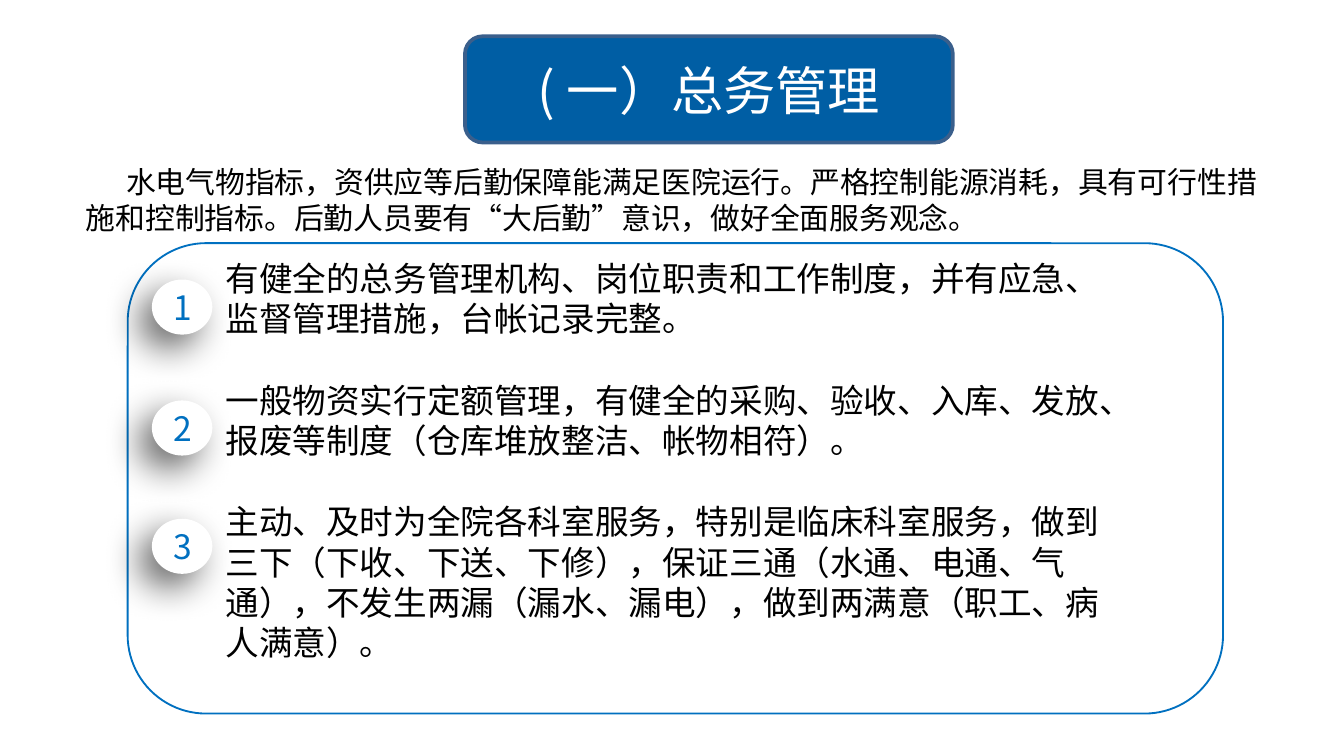
from pptx import Presentation
from pptx.dml.color import RGBColor
from pptx.enum.shapes import MSO_SHAPE
from pptx.enum.text import MSO_ANCHOR, PP_ALIGN
from pptx.oxml import parse_xml
from pptx.oxml.ns import nsdecls, qn
from pptx.util import Inches, Pt

WHITE = RGBColor(0xFF, 0xFF, 0xFF)
BLACK = RGBColor(0, 0, 0)
BLUE = RGBColor(0x00, 0x70, 0xC0)
TITLE_BLUE = RGBColor(0x00, 0x5E, 0xA4)
TITLE_EDGE = RGBColor(0x3A, 0x5F, 0x8C)

SHADOW = (
    f'<a:outerShdw {nsdecls("a")} blurRad="{Pt(20)}" dist="{Pt(10)}" '
    'dir="8100000" algn="tr" rotWithShape="0">'
    '<a:srgbClr val="000000"><a:alpha val="60000"/></a:srgbClr></a:outerShdw>'
)

INTRO = ("水电气物指标，资供应等后勤保障能满足医院运行。严格控制能源消耗，"
         "具有可行性措施和控制指标。后勤人员要有“大后勤”意识，做好全面服务观念。")
DUTIES = [
    "有健全的总务管理机构、岗位职责和工作制度，并有应急、监督管理措施，台帐记录完整。",
    "一般物资实行定额管理，有健全的采购、验收、入库、发放、报废等制度（仓库堆放整洁、帐物相符）。",
    "主动、及时为全院各科室服务，特别是临床科室服务，做到三下（下收、下送、下修），"
    "保证三通（水通、电通、气通），不发生两漏（漏水、漏电），做到两满意（职工、病人满意）。",
]

# 16:9 slide
prs = Presentation()
prs.slide_width = Inches(10)
prs.slide_height = Inches(10 * 9 / 16)
slide = prs.slides.add_slide(prs.slide_layouts[6])


def add_label(shape, text, size, color):
    """Write one centred line in the middle of a shape."""
    frame = shape.text_frame
    frame.text = text
    frame.vertical_anchor = MSO_ANCHOR.MIDDLE
    frame.paragraphs[0].alignment = PP_ALIGN.CENTER
    font = frame.paragraphs[0].runs[0].font
    font.name, font.size, font.color.rgb = "Noto Sans CJK SC", Pt(size), color


def add_body(left, top, width, height, texts, size):
    """Add a wrapping text box with one paragraph per text."""
    box = slide.shapes.add_textbox(*map(Inches, (left, top, width, height)))
    frame = box.text_frame
    frame.word_wrap = True
    frame.text = "\n".join(texts)
    for paragraph in frame.paragraphs:
        font = paragraph.runs[0].font
        font.name, font.size, font.color.rgb = "Calibri", Pt(size), BLACK
    return frame.paragraphs


# Rounded outline around the duties
panel = slide.shapes.add_shape(
    MSO_SHAPE.ROUNDED_RECTANGLE, Inches(0.95), Inches(1.81), Inches(8.15), Inches(3.5))
panel.shadow.inherit = False
panel.fill.background()
panel.line.color.rgb = BLUE
panel.line.width = Pt(1)

# Numbered badges, each with a soft shadow
for number, top in enumerate((2.08, 2.98, 3.86), start=1):
    badge = slide.shapes.add_shape(
        MSO_SHAPE.OVAL, Inches(1.13), Inches(top), Inches(0.45), Inches(0.41))
    badge.fill.solid()
    badge.fill.fore_color.rgb = WHITE
    badge.line.fill.background()
    badge.shadow.inherit = False
    badge._element.spPr.find(qn("a:effectLst")).append(parse_xml(SHADOW))
    add_label(badge, str(number), 18, BLUE)

# Title
title = slide.shapes.add_shape(
    MSO_SHAPE.ROUNDED_RECTANGLE, Inches(3.46), Inches(0.27), Inches(3.63), Inches(0.79))
title.shadow.inherit = False
title.fill.solid()
title.fill.fore_color.rgb = TITLE_BLUE
title.line.color.rgb = TITLE_EDGE
title.line.width = Pt(2)
add_label(title, "( 一）总务管理", 28, WHITE)

# Duties, one line apart
for duty in add_body(1.58, 1.87, 6.89, 3.13, DUTIES, 18)[:-1]:
    duty.space_after = Pt(22)

# Introduction with a first-line indent
intro = add_body(0.54, 1.17, 9.1, 0.64, [INTRO], 16)[0]
intro._p.get_or_add_pPr().set("indent", str(Inches(0.3)))

prs.save("out.pptx")
